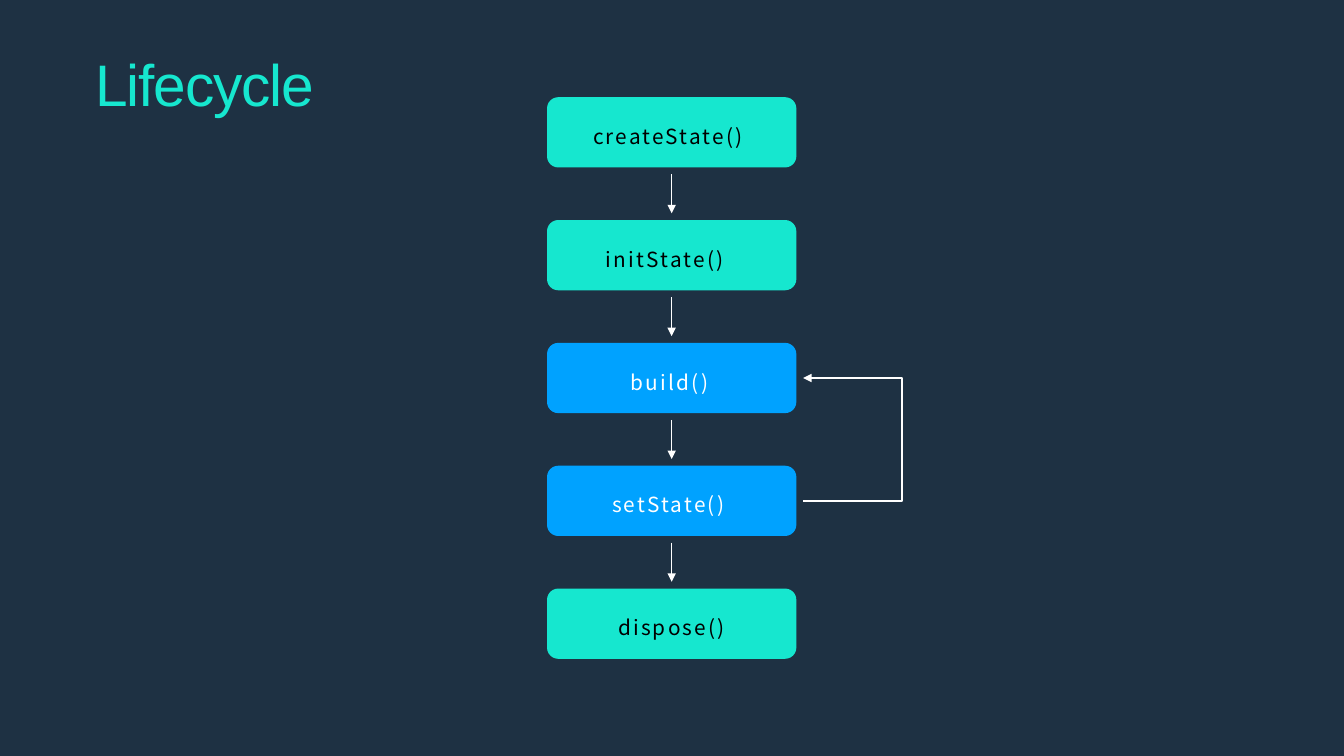
from dataclasses import dataclass

from lxml import etree
from pptx import Presentation
from pptx.dml.color import RGBColor
from pptx.enum.shapes import MSO_CONNECTOR, MSO_SHAPE
from pptx.enum.text import MSO_ANCHOR, PP_ALIGN
from pptx.oxml.ns import qn
from pptx.util import Inches, Pt

ROUNDED = MSO_SHAPE.ROUNDED_RECTANGLE
STRAIGHT = MSO_CONNECTOR.STRAIGHT
TOP = MSO_ANCHOR.TOP
LEFT = PP_ALIGN.LEFT


@dataclass(frozen=True)
class Theme:
    background: RGBColor = RGBColor(0x1E, 0x31, 0x43)
    teal: RGBColor = RGBColor(0x16, 0xE7, 0xCF)
    blue: RGBColor = RGBColor(0x00, 0xA2, 0xFF)
    black: RGBColor = RGBColor(0, 0, 0)
    white: RGBColor = RGBColor(0xFF, 0xFF, 0xFF)
    title_font: str = "Arial"
    step_font: str = "Noto Sans CJK JP"
    title_size: float = 69
    step_size: float = 24.5
    title_spacing: float = -1.4
    step_spacing: float = 2.6
    line_width: float = 1.65


THEME = Theme()

# method name, space left of the name, fill, text colour
STEPS = [
    ("createState()", 0.7, THEME.teal, THEME.black),
    ("initState()", 0.91, THEME.teal, THEME.black),
    ("build()", 1.32, THEME.blue, THEME.white),
    ("setState()", 1.01, THEME.blue, THEME.white),
    ("dispose()", 1.11, THEME.teal, THEME.black),
]
REBUILD_FROM, REBUILD_TO = 3, 2
STEP_HEIGHT = 1.15
STEP_PITCH = 2.01
ARROW_GAP = 0.11
LOOP_REACH = 1.62


def write_text(shape, text, margins, font, spacing):
    """Write one left-aligned line; margins are left and top in inches."""
    left, top = margins
    frame = shape.text_frame
    frame_format = {
        "margin_left": Inches(left), "margin_top": Inches(top),
        "margin_right": 0, "margin_bottom": 0,
        "word_wrap": False, "vertical_anchor": TOP,
    }
    for name, value in frame_format.items():
        setattr(frame, name, value)
    paragraph = frame.paragraphs[0]
    paragraph.alignment = LEFT
    run = paragraph.add_run()
    run.text = text
    color = font.pop("color")
    for name, value in font.items():
        setattr(run.font, name, value)
    run.font.color.rgb = color
    run.font._element.set("spc", str(round(spacing * 100)))


def style_arrow(arrow):
    """Give a white line with an arrowhead at its end and no shadow."""
    arrow.line.color.rgb = THEME.white
    arrow.line.width = Pt(THEME.line_width)
    properties = arrow._element.spPr
    etree.SubElement(properties.find(qn("a:ln")), qn("a:tailEnd"),
                     type="triangle", w="lg", len="lg")
    if properties.find(qn("a:effectLst")) is None:
        etree.SubElement(properties, qn("a:effectLst"))


def add_title(slide, left, top, width, height):
    box = slide.shapes.add_textbox(*map(Inches, (left, top, width, height)))
    font = {"name": THEME.title_font, "size": Pt(THEME.title_size),
            "color": THEME.teal}
    write_text(box, "Lifecycle", (0.01, 0.04), font, THEME.title_spacing)


def add_step(slide, left, top, width, step):
    method, indent, fill, text_color = step
    box = slide.shapes.add_shape(
        ROUNDED, *map(Inches, (left, top, width, STEP_HEIGHT)))
    box.adjustments[0] = 0.16
    box.shadow.inherit = False
    box.fill.solid()
    box.fill.fore_color.rgb = fill
    box.line.fill.background()
    font = {"name": THEME.step_font, "size": Pt(THEME.step_size),
            "color": text_color}
    write_text(box, method, (indent, 0.38), font, THEME.step_spacing)


def add_down_arrow(slide, x, top, bottom):
    style_arrow(slide.shapes.add_connector(
        STRAIGHT, *map(Inches, (x, top, x, bottom))))


def add_rebuild_loop(slide, left, start_y, end_y):
    right = left + LOOP_REACH
    builder = slide.shapes.build_freeform(
        Inches(left), Inches(start_y), scale=1.0)
    corners = [(right, start_y), (right, end_y), (left, end_y)]
    builder.add_line_segments(
        [(Inches(x), Inches(y)) for x, y in corners], close=False)
    loop = builder.convert_to_shape()
    loop.shadow.inherit = False
    loop.fill.background()
    style_arrow(loop)


def add_lifecycle(slide, left, top, width):
    for index, step in enumerate(STEPS):
        step_top = top + index * STEP_PITCH
        add_step(slide, left, step_top, width, step)
        if index < len(STEPS) - 1:
            add_down_arrow(slide, left + width / 2,
                           step_top + STEP_HEIGHT + ARROW_GAP,
                           step_top + STEP_PITCH - ARROW_GAP)
    start_y, end_y = (top + index * STEP_PITCH + STEP_HEIGHT / 2
                      for index in (REBUILD_FROM, REBUILD_TO))
    add_rebuild_loop(slide, left + width + ARROW_GAP, start_y, end_y)


def main():
    presentation = Presentation()
    presentation.slide_width = Inches(21.99)
    presentation.slide_height = Inches(12.37)
    slide = presentation.slides.add_slide(presentation.slide_layouts[6])
    slide.background.fill.solid()
    slide.background.fill.fore_color.rgb = THEME.background
    add_title(slide, 1.55, 0.74, 3.59, 1.18)
    add_lifecycle(slide, 8.95, 1.59, 4.08)
    presentation.save("out.pptx")


if __name__ == "__main__":
    main()
